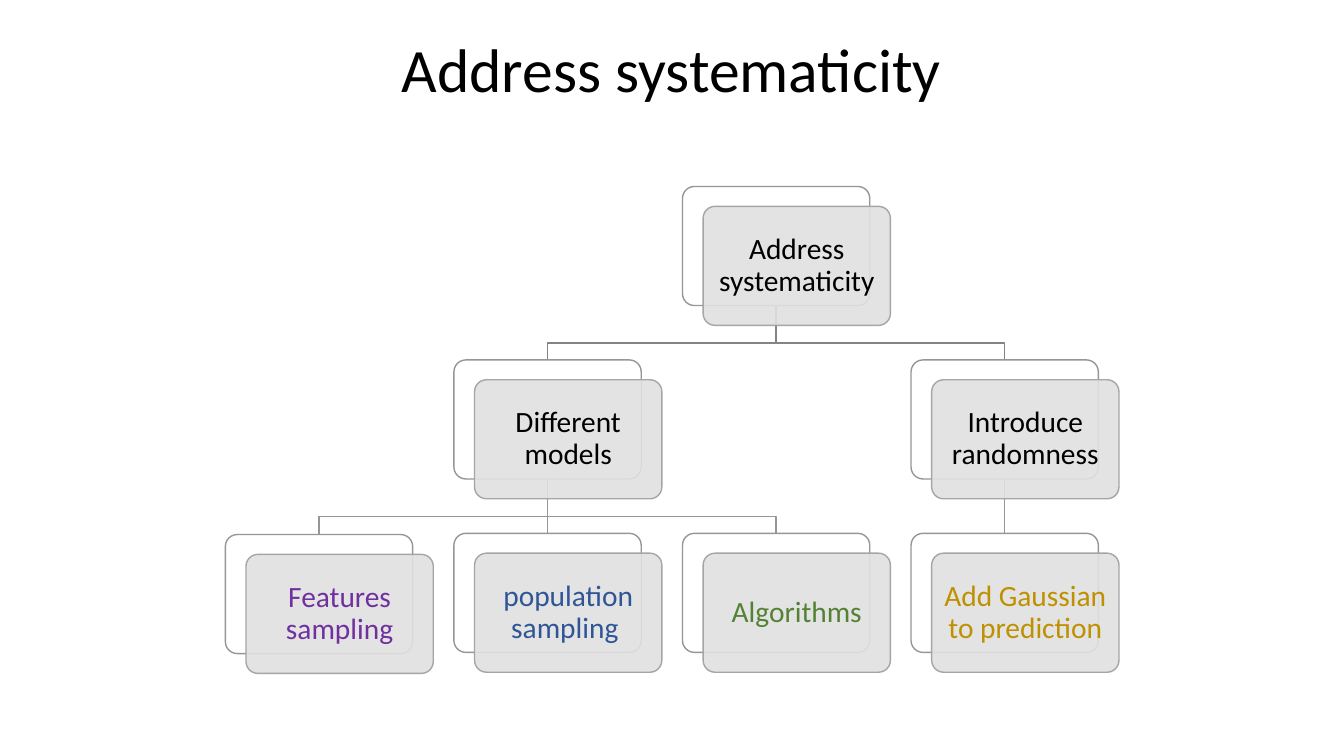
from dataclasses import dataclass
from lxml.etree import SubElement
from pptx import Presentation
from pptx.dml.color import RGBColor
from pptx.enum.shapes import MSO_CONNECTOR, MSO_SHAPE
from pptx.enum.text import MSO_ANCHOR, PP_ALIGN
from pptx.oxml.ns import qn
from pptx.util import Cm, Pt


@dataclass(frozen=True)
class Theme:
    font: str = "Calibri"
    head: int = 44
    body: int = 21
    ink: str = "000000"
    back: str = "FFFFFF"
    front: str = "E1E1E1"
    edge: str = "969696"
    rim: str = "A5A5A5"
    top: str = "848484"
    violet: str = "7030A0"
    blue: str = "2F5597"
    green: str = "548235"
    gold: str = "BF9000"


THEME = Theme()
CARD_W, CARD_H = 4.72, 3.0
STEP_X, STEP_Y = 5.76, 4.37
SHIFT_X, SHIFT_Y = 0.52, 0.5
BEND = 0.94  # from a card's foot to the bend of its link

# name: (column, row, extra drop, text, colour)
CARDS = {
    "root": (2, 0, 0, "Address systematicity", THEME.ink),
    "models": (1, 1, 0, "Different models", THEME.ink),
    "features": (0, 2, 0.03, "Features sampling", THEME.violet),
    "people": (1, 2, 0, "population sampling ", THEME.blue),
    "code": (2, 2, 0, "Algorithms", THEME.green),
    "random": (3, 1, 0, "Introduce randomness", THEME.ink),
    "noise": (3, 2, 0, "Add Gaussian to prediction", THEME.gold),
}
LINKS = [
    ("random", "noise"), ("root", "random"), ("models", "code"),
    ("models", "people"), ("models", "features"), ("root", "models"),
]


def style(item, values):
    for name, value in values.items():
        setattr(item, name, value)


def write(shape, text, size, colour, inset):
    frame = shape.text_frame
    style(frame, {
        "word_wrap": True, "vertical_anchor": MSO_ANCHOR.MIDDLE,
        "margin_left": inset, "margin_right": inset,
        "margin_top": inset, "margin_bottom": inset,
    })
    line = frame.paragraphs[0]
    style(line, {"text": text, "alignment": PP_ALIGN.CENTER, "line_spacing": 0.9})
    style(line.runs[0].font, {"name": THEME.font, "size": Pt(size)})
    line.runs[0].font.color.rgb = RGBColor.from_string(colour)


def stroke(line, colour):
    line.width = Pt(1)
    line.color.rgb = RGBColor.from_string(colour)


def add_title(slide, box, text):
    shape = slide.shapes.add_textbox(*map(Cm, box))
    write(shape, text, THEME.head, THEME.ink, Cm(0.25))


def add_panel(slide, box, fill, edge):
    panel = slide.shapes.add_shape(MSO_SHAPE.ROUNDED_RECTANGLE, *map(Cm, box))
    panel.adjustments[0] = 0.1
    panel.shadow.inherit = False
    panel.fill.solid()
    panel.fill.fore_color.rgb = RGBColor.from_string(fill)
    stroke(panel.line, edge)
    return panel


def add_card(slide, box, text, colour):
    """Draw a white panel with a shifted, translucent label; return the panel."""
    left, top, wide, high = box
    back = add_panel(slide, box, THEME.back, THEME.edge)
    front = add_panel(slide, (left + SHIFT_X, top + SHIFT_Y, wide, high),
                      THEME.front, THEME.rim)
    tint = front._element.spPr.find(qn("a:solidFill")).find(qn("a:srgbClr"))
    SubElement(tint, qn("a:alpha"), val="90000")
    # The rounded corners already keep the text off the edge a little
    write(front, text, THEME.body, colour, Cm(0.22))
    return back


def add_link(slide, start, end, colour):
    """Draw a straight connector, or a bent line between two columns."""
    (x1, y1), (x2, y2) = start, end
    if x1 == x2:
        link = slide.shapes.add_connector(
            MSO_CONNECTOR.STRAIGHT, Cm(x1), Cm(y1), Cm(x2), Cm(y2))
        SubElement(link._element.spPr, qn("a:effectLst"))
    else:
        pen = slide.shapes.build_freeform(Cm(x1), Cm(y1))
        bends = [(x1, y1 + BEND), (x2, y1 + BEND), end]
        pen.add_line_segments([(Cm(x), Cm(y)) for x, y in bends], close=False)
        link = pen.convert_to_shape()
        link.fill.background()
        link.shadow.inherit = False
    stroke(link.line, colour)
    return link


def add_tree(slide, left, top):
    boxes = {
        name: (left + col * STEP_X, top + row * STEP_Y + drop, CARD_W, CARD_H)
        for name, (col, row, drop, _, _) in CARDS.items()
    }

    # Links lie behind the cards
    lines = {}
    for pair in LINKS:
        (x1, y1, w1, h1), (x2, y2, w2, _) = (boxes[name] for name in pair)
        colour = THEME.top if pair[0] == "root" else THEME.edge
        lines[pair] = add_link(slide, (x1 + w1 / 2, y1 + h1),
                               (x2 + w2 / 2, y2), colour)

    # Cards
    backs = {name: add_card(slide, boxes[name], text, colour)
             for name, (_, _, _, text, colour) in CARDS.items()}

    # Join the straight links to their cards
    for (upper, lower), line in lines.items():
        if CARDS[upper][0] == CARDS[lower][0]:
            line.begin_connect(backs[upper], 2)
            line.end_connect(backs[lower], 0)


def main():
    deck = Presentation()
    style(deck, {"slide_width": Cm(33.87), "slide_height": Cm(19.05)})
    slide = deck.slides.add_slide(deck.slide_layouts[6])
    add_title(slide, (0.48, 0, 32.89, 3.68), "Address systematicity")
    add_tree(slide, 5.68, 4.7)
    deck.save("out.pptx")


if __name__ == "__main__":
    main()
